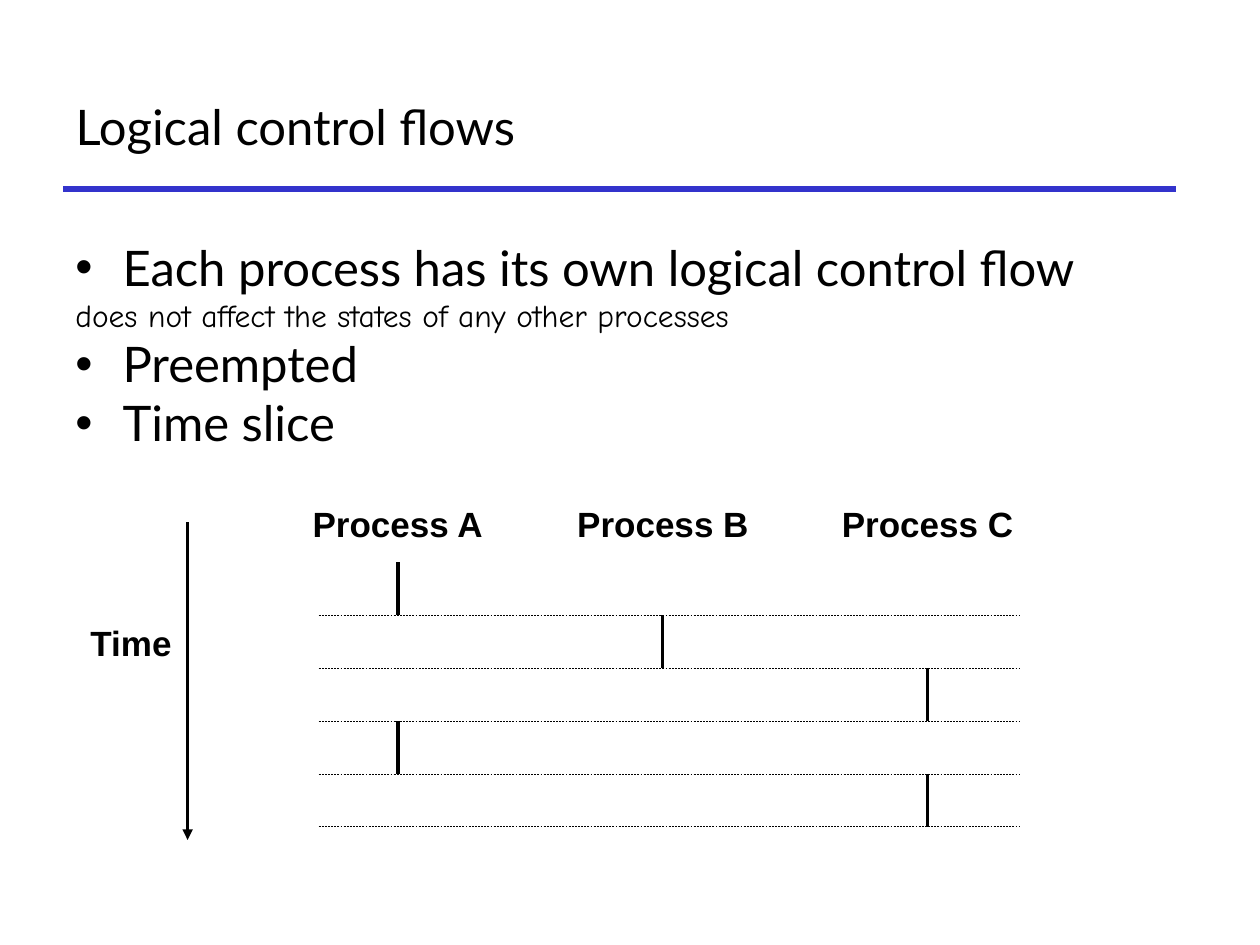
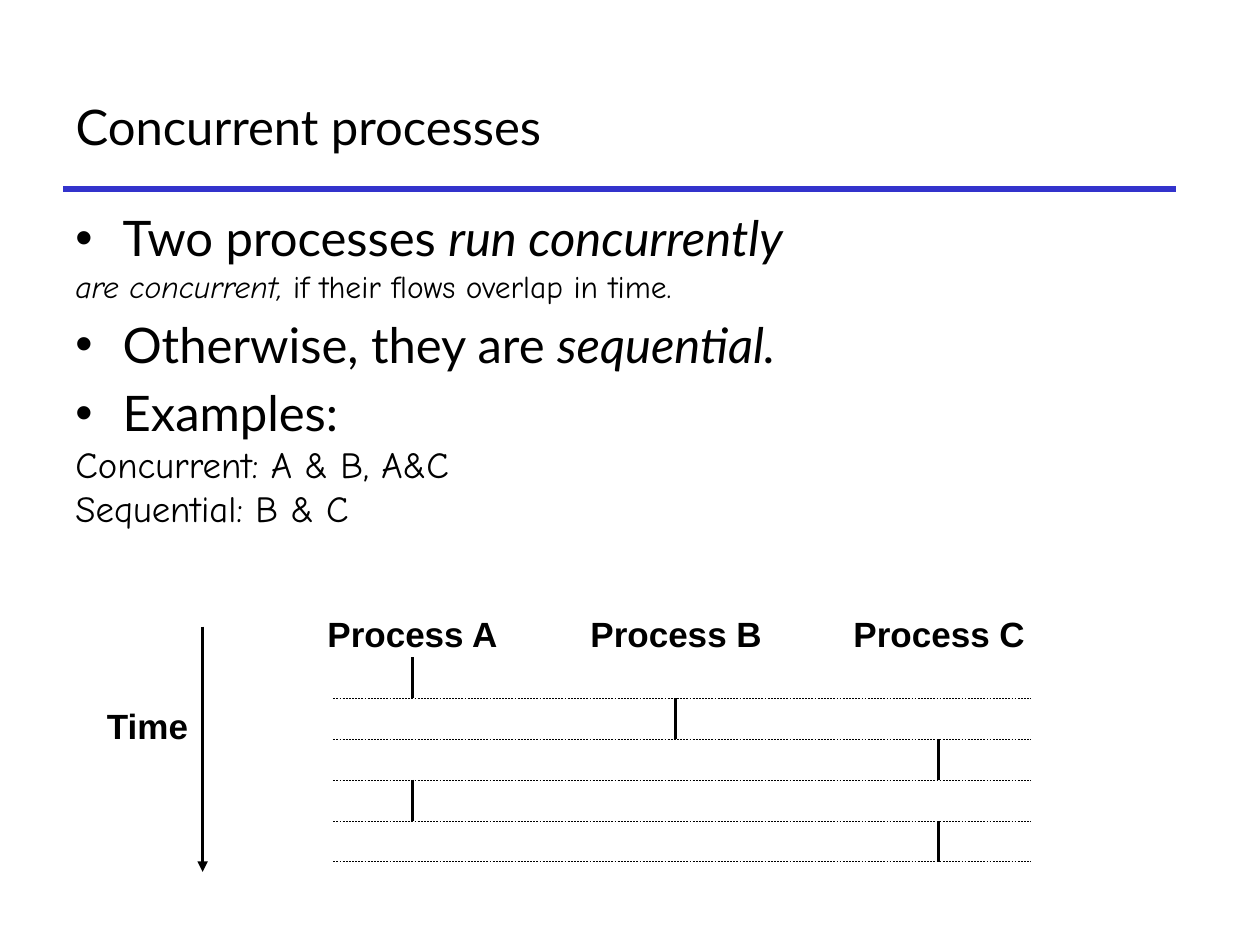
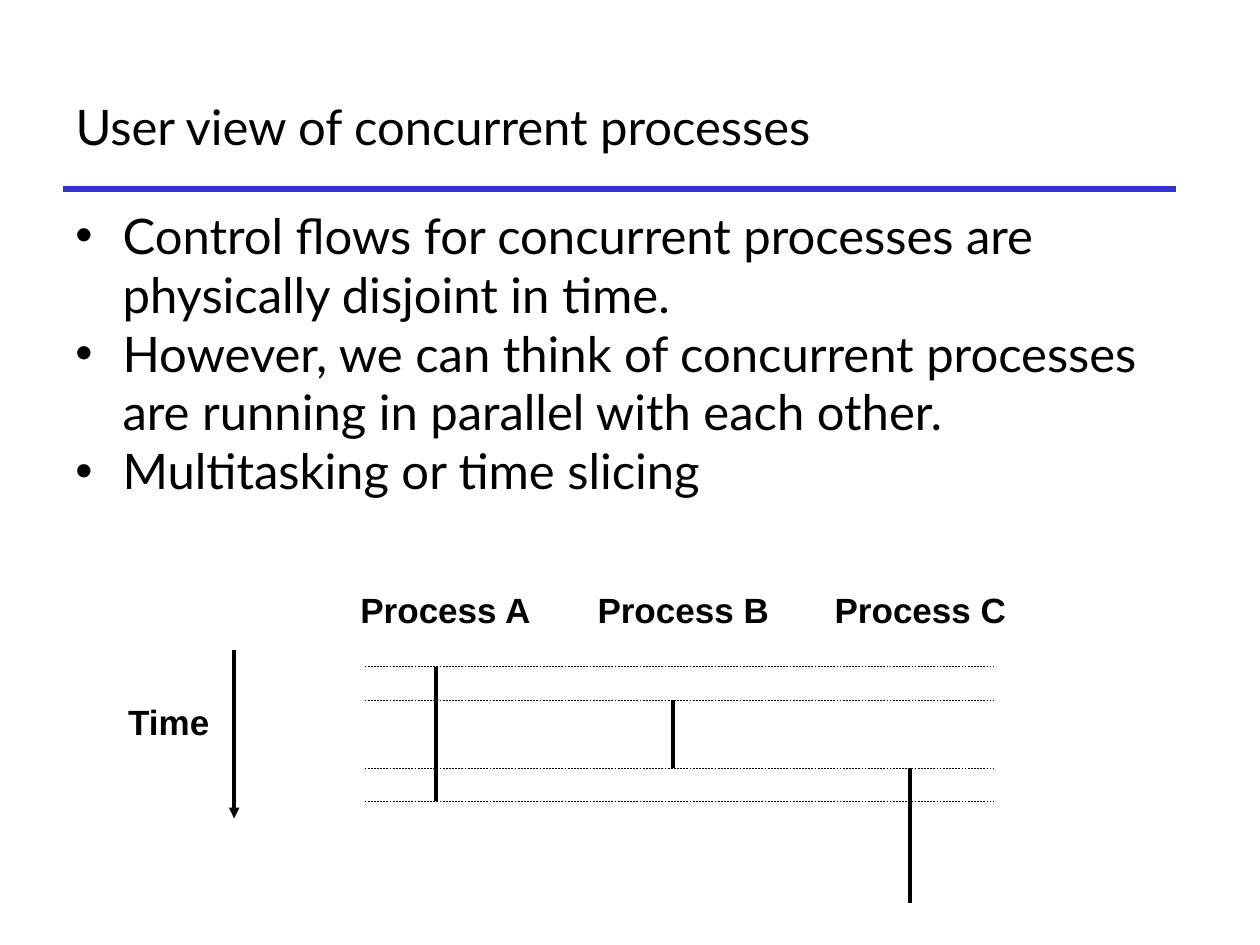
from dataclasses import dataclass
from typing import NamedTuple

from pptx import Presentation
from pptx.dml.color import RGBColor
from pptx.enum.dml import MSO_LINE
from pptx.enum.shapes import MSO_CONNECTOR
from pptx.enum.text import MSO_ANCHOR, MSO_AUTO_SIZE, PP_ALIGN
from pptx.oxml.ns import qn
from pptx.util import Pt

BLACK = RGBColor(0x00, 0x00, 0x00)
WHITE = RGBColor(0xFF, 0xFF, 0xFF)
RULE_BLUE = RGBColor(0x33, 0x33, 0xCC)
STRAIGHT = MSO_CONNECTOR.STRAIGHT
DASH = MSO_LINE.DASH
MIDDLE = MSO_ANCHOR.MIDDLE
LEFT = PP_ALIGN.LEFT
NO_AUTOFIT = MSO_AUTO_SIZE.NONE

MAIN_FONT = "Lato"
DETAIL_FONT = "Comic Neue"
LABEL_FONT = "Arial"
MAIN_SIZE = 28
LABEL_SIZE = 20
BULLET_INDENT = 27
TITLE_ONLY = 5
PROCESSES = ("Process A", "Process B", "Process C")


class Span(NamedTuple):
    text: str
    italic: bool = False


class Line(NamedTuple):
    spans: tuple[Span, ...]
    detail_size: float | None = None


class Burst(NamedTuple):
    lane: int
    start: int
    steps: int = 1


@dataclass(frozen=True)
class Body:
    top: float
    width: float
    height: float
    lines: tuple[Line, ...]
    bullet_gap: float = 0


@dataclass(frozen=True)
class Diagram:
    first_lane: float
    lane_gap: float
    top: float
    step: float
    guides: tuple[int, ...]
    bursts: tuple[Burst, ...]
    label_step: float
    label_height: float
    arrow_left: float
    arrow_step: float
    arrow_steps: int
    time_left: float
    time_step: float


@dataclass(frozen=True)
class Page:
    title: str
    body: Body
    diagram: Diagram


def bullet(text: str, emphasis: str = "") -> Line:
    spans = (Span(text), Span(emphasis, True)) if emphasis else (Span(text),)
    return Line(spans)


def detail(size: float, *spans: Span) -> Line:
    return Line(spans, size)


TURNS = (Burst(0, 0), Burst(1, 1), Burst(2, 2), Burst(0, 3), Burst(2, 4))
TURN_ENDS = (1, 2, 3, 4, 5)

PAGES = (
    Page(
        "Logical control flows",
        Body(132, 648, 132, (
            bullet("Each process has its own logical control flow"),
            detail(18, Span("does not affect the states of any other processes")),
            bullet("Preempted"),
            bullet("Time slice"),
        )),
        Diagram(227.5, 151.2, 321.2, 30.24, TURN_ENDS, TURNS,
                -1.25, 39.6, 107.2, -0.75, 6, 44.6, 1),
    ),
    Page(
        "Concurrent processes",
        Body(115.2, 696, 148, (
            bullet("Two processes ", "run concurrently"),
            detail(18, Span("are concurrent, ", True),
                   Span("if their flows overlap in time.")),
            bullet("Otherwise, they are ", "sequential."),
            bullet("Examples:"),
            detail(21, Span("Concurrent: A & B, A&C")),
            detail(21, Span("Sequential: B & C")),
        ), 5.6),
        Diagram(235.6, 150.3, 375.6, 23.36, TURN_ENDS, TURNS,
                -1.25, 48, 115.8, -0.75, 6, 54, 1),
    ),
    Page(
        "User view of concurrent processes",
        Body(113.8, 648, 116.6, (
            bullet("Control flows for concurrent processes are physically disjoint in time."),
            bullet("However, we can think of concurrent processes are running in parallel with each other."),
            bullet("Multitasking or time slicing"),
        )),
        Diagram(249, 135.5, 381, 19.25, (0, 1, 3, 4),
                (Burst(0, 0, 2), Burst(1, 1, 2), Burst(2, 3, 2),
                 Burst(0, 2, 2), Burst(2, 5, 2)),
                -2.5, 40, 133.8, -0.5, 5, 66.2, 0.82),
    ),
)


def style(font, name: str, size: float, bold: bool = False, italic: bool = False) -> None:
    font.name = name
    font.size = Pt(size)
    font.bold = bold
    font.italic = italic
    font.color.rgb = BLACK


def add_line(shapes, start: tuple[float, float], end: tuple[float, float],
             width: float, color: RGBColor = BLACK, dashed: bool = False,
             arrow: bool = False) -> None:
    points = (Pt(value) for value in (*start, *end))
    connector = shapes.add_connector(STRAIGHT, *points)
    connector.line.width = Pt(width)
    connector.line.color.rgb = color
    if dashed:
        connector.line.dash_style = DASH
    properties = connector.element.spPr
    if arrow:
        outline = properties.find(qn("a:ln"))
        outline.append(outline.makeelement(qn("a:tailEnd"), {"type": "triangle"}))
    properties.append(properties.makeelement(qn("a:effectLst"), {}))


def add_box(shapes, left: float, top: float, width: float, height: float):
    box = shapes.add_textbox(Pt(left), Pt(top), Pt(width), Pt(height))
    box.text_frame.word_wrap = True
    box.text_frame.auto_size = NO_AUTOFIT
    return box


def add_label(shapes, text: str, left: float, top: float, width: float, height: float) -> None:
    box = add_box(shapes, left, top, width, height)
    box.text_frame.text = text
    style(box.text_frame.paragraphs[0].runs[0].font, LABEL_FONT, LABEL_SIZE, bold=True)


def add_bullet(para) -> None:
    properties = para._p.get_or_add_pPr()
    properties.set("marL", str(Pt(BULLET_INDENT)))
    properties.set("indent", str(-Pt(BULLET_INDENT)))
    properties.append(properties.makeelement(qn("a:buFont"), {"typeface": LABEL_FONT}))
    properties.append(properties.makeelement(qn("a:buChar"), {"char": "•"}))


def add_title(slide, text: str) -> None:
    title = slide.shapes.title
    title.left, title.top, title.width, title.height = Pt(36), Pt(36), Pt(636), Pt(72)
    frame = title.text_frame
    frame.text = text
    frame.word_wrap = True
    frame.auto_size = NO_AUTOFIT
    frame.vertical_anchor = MIDDLE
    para = frame.paragraphs[0]
    para.alignment = LEFT
    style(para.runs[0].font, MAIN_FONT, MAIN_SIZE)


def add_body(slide, body: Body) -> None:
    frame = add_box(slide.shapes, 36, body.top, body.width, body.height).text_frame
    for index, line in enumerate(body.lines):
        para = frame.add_paragraph() if index else frame.paragraphs[0]
        is_bullet = line.detail_size is None
        if is_bullet:
            add_bullet(para)
            if index:
                para.space_before = Pt(body.bullet_gap)
        name = MAIN_FONT if is_bullet else DETAIL_FONT
        size = line.detail_size or MAIN_SIZE
        for span in line.spans:
            run = para.add_run()
            run.text = span.text
            style(run.font, name, size, italic=span.italic)


def add_diagram(slide, diagram: Diagram) -> None:
    shapes = slide.shapes.add_group_shape().shapes
    gap = diagram.lane_gap

    def lane_x(lane: float) -> float:
        return diagram.first_lane + lane * gap

    def step_y(step: float) -> float:
        return diagram.top + step * diagram.step

    arrow_end = diagram.arrow_step + diagram.arrow_steps
    add_line(shapes, (diagram.arrow_left, step_y(diagram.arrow_step)),
             (diagram.arrow_left, step_y(arrow_end)), 2, arrow=True)
    add_label(shapes, "Time", diagram.time_left, step_y(diagram.time_step),
              gap / 2, diagram.label_height)
    for lane, process in enumerate(PROCESSES):
        add_label(shapes, process, lane_x(lane - 0.37), step_y(diagram.label_step),
                  gap * 0.91, diagram.label_height)
    for burst in diagram.bursts:
        x = lane_x(burst.lane)
        add_line(shapes, (x, step_y(burst.start)),
                 (x, step_y(burst.start + burst.steps)), 2)
    for guide in diagram.guides:
        y = step_y(guide)
        add_line(shapes, (lane_x(-0.3), y), (lane_x(2.35), y), 0.25, dashed=True)


def main() -> None:
    deck = Presentation()
    deck.slide_width, deck.slide_height = Pt(720), Pt(540)
    for page in PAGES:
        slide = deck.slides.add_slide(deck.slide_layouts[TITLE_ONLY])
        slide.background.fill.solid()
        slide.background.fill.fore_color.rgb = WHITE
        add_line(slide.shapes, (36, 108), (672, 108), 3, RULE_BLUE)
        add_title(slide, page.title)
        add_body(slide, page.body)
        add_diagram(slide, page.diagram)
    deck.save("out.pptx")


if __name__ == "__main__":
    main()
